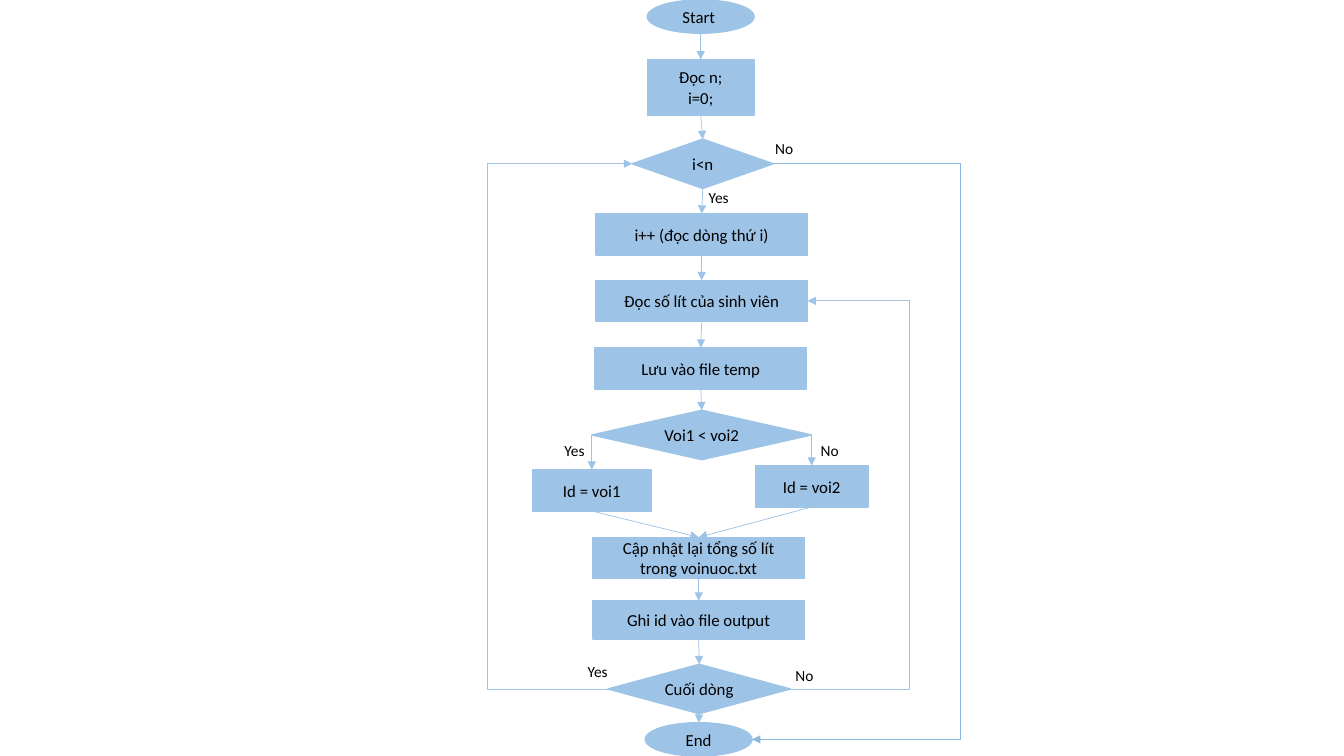
import pptx
import pptx.util
import pptx.dml.color
import pptx.enum.shapes
import pptx.enum.text
import pptx.oxml
import pptx.oxml.ns
from pptx.util import Inches

SHAPE = pptx.enum.shapes.MSO_SHAPE
LINE = pptx.enum.shapes.MSO_CONNECTOR
ALIGN = pptx.enum.text.PP_ALIGN
ANCHOR = pptx.enum.text.MSO_ANCHOR
TOP, LEFT, BOTTOM, RIGHT = range(4)
BLUE, LOOP_BLUE, BLACK = "9DC3E6", "8BB8E1", "000000"

# name: shape, text, left, top, width, height
STEPS = {
    "start": (SHAPE.OVAL, "Start ", 6.42, 0, 1.06, 0.33),
    "init": (SHAPE.RECTANGLE, "Đọc n;\ni=0;", 6.42, 0.59, 1.06, 0.55),
    "more": (SHAPE.DIAMOND, "i<n", 6.27, 1.38, 1.4, 0.49),
    "next": (SHAPE.RECTANGLE, "i++ (đọc dòng thứ i)", 5.91, 2.12, 2.1, 0.41),
    "read": (SHAPE.RECTANGLE, "Đọc số lít của sinh viên", 5.91, 2.78, 2.1, 0.41),
    "store": (SHAPE.RECTANGLE, "Lưu vào file temp", 5.9, 3.45, 2.1, 0.41),
    "compare": (SHAPE.DIAMOND, "Voi1 < voi2", 5.87, 4.07, 2.18, 0.49),
    "tap1": (SHAPE.RECTANGLE, "Id = voi1", 5.28, 4.66, 1.18, 0.41),
    "tap2": (SHAPE.RECTANGLE, "Id = voi2", 7.49, 4.62, 1.12, 0.41),
    "update": (SHAPE.RECTANGLE, "Cập nhật lại tổng số lít trong voinuoc.txt",
               5.88, 5.33, 2.1, 0.41),
    "write": (SHAPE.RECTANGLE, "Ghi id vào file output", 5.88, 5.96, 2.1, 0.38),
    "last": (SHAPE.DIAMOND, "Cuối dòng", 6.03, 6.59, 1.81, 0.49),
    "end": (SHAPE.OVAL, "End", 6.4, 7.17, 1.06, 0.33),
}
MAIN_PATHS = [
    ("start", "init", "more", "next", "read", "store", "compare"),
    ("tap1", "update", "write", "last", "end"),
    ("tap2", "update"),
]
BRANCHES = [("compare", LEFT, "tap1", TOP), ("compare", RIGHT, "tap2", TOP)]
# from, side, to, side, x of the vertical stretch, colour
LOOPS = [
    ("last", RIGHT, "read", RIGHT, 9.02, BLUE),
    ("last", LEFT, "more", LEFT, 4.83, BLUE),
    ("more", RIGHT, "end", RIGHT, 9.53, LOOP_BLUE),
]
LABELS = [
    ("No", 7.59, 1.33), ("Yes", 6.93, 1.82),
    ("Yes", 5.5, 4.33), ("No", 8.04, 4.33),
    ("Yes", 5.73, 6.52), ("No", 7.79, 6.56),
]


def rgb(color):
    return pptx.dml.color.RGBColor.from_string(color)


def write_text(tf, text, size, **frame):
    for name, value in frame.items():
        setattr(tf, name, value)
    p = tf.paragraphs[0]
    p.text = text
    for r in p.runs:
        for name, value in {"name": "Calibri", "size": pptx.util.Pt(size)}.items():
            setattr(r.font, name, value)
        r.font.color.rgb = rgb(BLACK)
    return p


def add_step(s, shape, text, *box):
    sp = s.shapes.add_shape(shape, *map(Inches, box))
    sp.shadow.inherit = False
    sp.fill.solid()
    sp.fill.fore_color.rgb = rgb(BLUE)
    sp.line.color.rgb = rgb(BLUE)
    sp.line.width = pptx.util.Pt(1)
    p = write_text(sp.text_frame, text, 12, word_wrap=True,
                   vertical_anchor=ANCHOR.MIDDLE)
    p.alignment = ALIGN.CENTER
    return sp


def add_label(s, text, left, top):
    width = 0.41 if text == "Yes" else 0.38
    sp = s.shapes.add_textbox(*map(Inches, (left, top, width, 0.29)))
    write_text(sp.text_frame, text, 11, word_wrap=False,
               auto_size=pptx.enum.text.MSO_AUTO_SIZE.SHAPE_TO_FIT_TEXT)


def side_point(sp, side):
    across = {LEFT: 0, RIGHT: 2}.get(side, 1)
    down = {TOP: 0, BOTTOM: 2}.get(side, 1)
    return sp.left + sp.width * across // 2, sp.top + sp.height * down // 2


def add_arrow(s, tail, tail_side, head, head_side, via=None, color=BLUE):
    """Join two steps; via is the x of the vertical stretch of a bent arrow."""
    x1, y1 = side_point(tail, tail_side)
    x2, y2 = side_point(head, head_side)
    kind = LINE.STRAIGHT if via is None else LINE.ELBOW
    cx = s.shapes.add_connector(kind, x1, y1, x2, y2)
    # An oval numbers its sides differently; only its top matches.
    for join, sp, side in ((cx.begin_connect, tail, tail_side),
                           (cx.end_connect, head, head_side)):
        if sp.auto_shape_type != SHAPE.OVAL or side == TOP:
            join(sp, side)
    cx.line.color.rgb = rgb(color)
    cx.line.width = pptx.util.Pt(0.5)
    ns = pptx.oxml.ns.nsdecls("a")
    ln = cx.line._get_or_add_ln()
    ln.append(pptx.oxml.parse_xml(f'<a:tailEnd {ns} type="triangle"/>'))
    ln.addnext(pptx.oxml.parse_xml(f"<a:effectLst {ns}/>"))
    if via is not None:
        bend = round((Inches(via) - x1) / (x2 - x1) * 100000)
        geom = cx._element.spPr.find(pptx.oxml.ns.qn("a:prstGeom"))
        for old in list(geom):
            geom.remove(old)
        geom.append(pptx.oxml.parse_xml(
            f'<a:avLst {ns}><a:gd name="adj1" fmla="val {bend}"/></a:avLst>'))


def add_flowchart(s):
    steps = {name: add_step(s, *step) for name, step in STEPS.items()}
    for names in MAIN_PATHS:
        for tail, head in zip(names, names[1:]):
            add_arrow(s, steps[tail], BOTTOM, steps[head], TOP)
    for tail, tail_side, head, head_side, *bend in BRANCHES + LOOPS:
        add_arrow(s, steps[tail], tail_side, steps[head], head_side, *bend)
    for label in LABELS:
        add_label(s, *label)


def main():
    prs = pptx.Presentation()
    prs.slide_width, prs.slide_height = Inches(13.33), Inches(7.5)
    s = prs.slides.add_slide(prs.slide_layouts[6])
    add_flowchart(s)
    prs.save("out.pptx")


if __name__ == "__main__":
    main()
